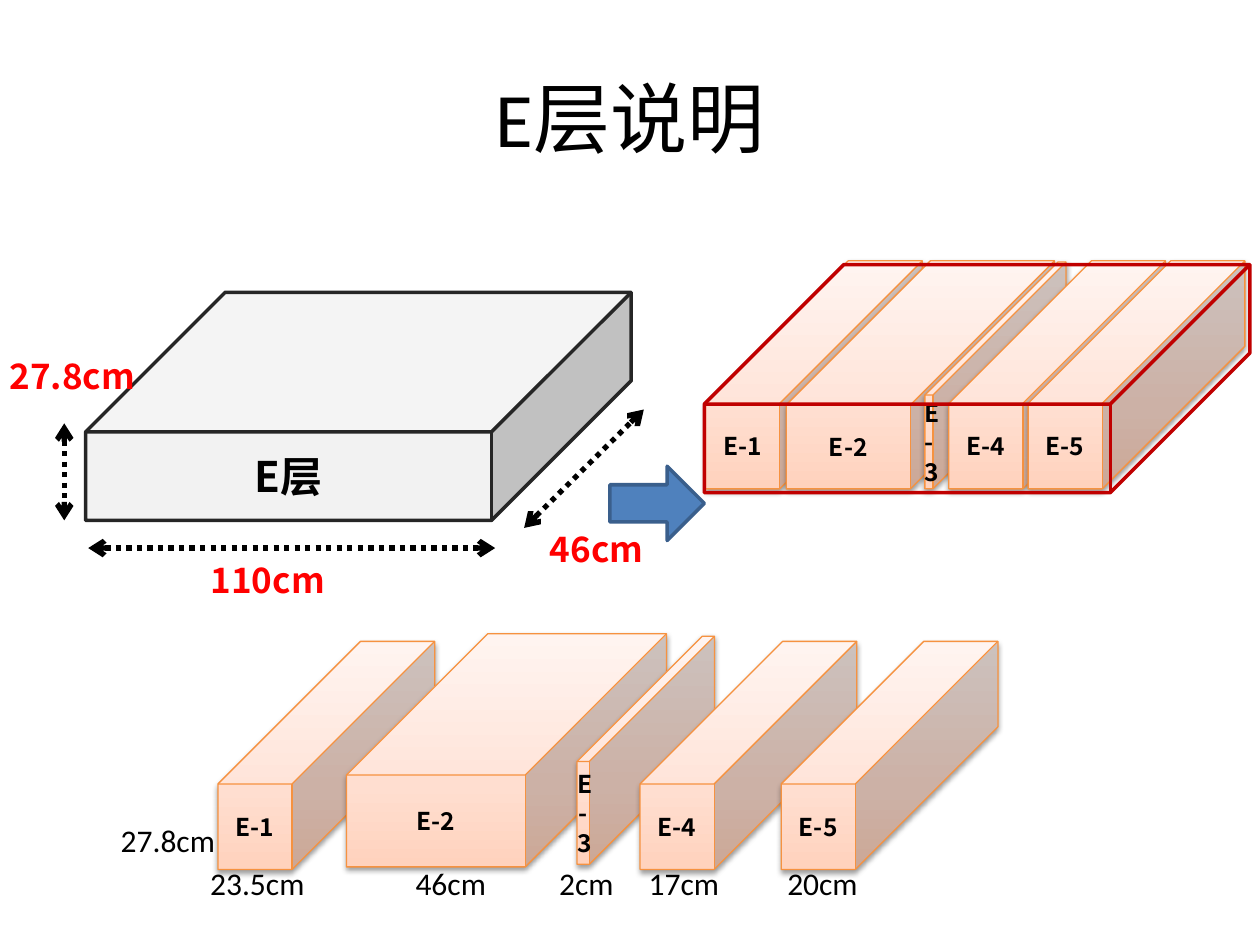
"""Build the slide that explains how layer E is divided into five blocks."""
from lxml import etree
from pptx import Presentation
from pptx.dml.color import RGBColor
from pptx.enum.dml import MSO_LINE
from pptx.enum.shapes import MSO_CONNECTOR, MSO_SHAPE
from pptx.enum.text import MSO_ANCHOR, MSO_AUTO_SIZE, PP_ALIGN
from pptx.oxml.ns import qn
from pptx.util import Inches, Pt

CUBE, ARROW = MSO_SHAPE.CUBE, MSO_SHAPE.RIGHT_ARROW
CENTER, LEFT = PP_ALIGN.CENTER, PP_ALIGN.LEFT
MIDDLE, TOP = MSO_ANCHOR.MIDDLE, MSO_ANCHOR.TOP
CJK, LATIN = "Noto Sans CJK SC", "Calibri"
BLACK, RED = "000000", "FF0000"

TITLE = "E层说明"
LAYER = "E层"
LAYER_SIZE, LAYER_DEPTH = (4.33, 1.81), 0.612
BLOCK = (1.72, 1.81, 0.658)
GRADIENT = [(0, "FFD2BD"), (35, "FFDED0"), (100, "FFF2ED")]

LAYER_ARROWS = [((0.7, 4.35), (3.93, 4.35)), ((4.16, 4.19), (5.11, 3.25))]
LAYER_SIZES = [("110cm", 1.47, 4.35), ("46cm", 4.08, 4.1)]
HEIGHT_ARROW = ((0.51, 3.36), (0.51, 4.13))
HEIGHT_SIZE = ("27.8cm", -0.08, 2.73)

SEPARATE_BLOCKS = [
    ("E-1", 1.73, 5.09, *BLOCK),
    ("E-2", 2.75, 5.03, 2.54, 1.85, 0.606),
    ("E-3", 4.58, 5.05, 1.09, 1.81, 0.911),
    ("E-4", 5.08, 5.09, *BLOCK),
    ("E-5", 6.2, 5.09, *BLOCK),
]
BLOCK_SIZES = [
    ("23.5cm", 1.57, 6.81, 0.96),
    ("27.8cm", 0.86, 6.47, 0.96),
    ("46cm", 3.2, 6.81, 0.77),
    ("2cm", 4.34, 6.81, 0.64),
    ("17cm", 5.05, 6.81, 0.77),
    ("20cm", 6.15, 6.81, 0.77),
]
JOINED_BLOCKS = [
    ("E-1", 5.6, 2.07, *BLOCK),
    ("E-2", 6.24, 2.07, 2.13, 1.81, 0.632),
    ("E-3", 7.34, 2.08, 1.12, 1.8, 0.943),
    ("E-4", 7.53, 2.07, *BLOCK),
    ("E-5", 8.16, 2.07, *BLOCK),
]


def rgb(value):
    """Turn a hex string into a colour."""
    return RGBColor.from_string(value)


def add_xml(parent, tag, **attributes):
    """Append a drawing element and return it."""
    return etree.SubElement(parent, qn("a:" + tag), attributes)


def write(s, text, size=20, color=BLACK, font=CJK, bold=True,
          align=CENTER, anchor=MIDDLE, wrap=True):
    """Put one formatted paragraph into a shape."""
    tf = s.text_frame
    tf.word_wrap, tf.vertical_anchor = wrap, anchor
    if not wrap:
        tf.auto_size = MSO_AUTO_SIZE.SHAPE_TO_FIT_TEXT
    p = tf.paragraphs[0]
    p.alignment = align
    r = p.add_run()
    r.text = text
    r.font.size, r.font.bold, r.font.name = Pt(size), bold, font
    r.font.color.rgb = rgb(color)
    add_xml(r.font._element, "ea", typeface=CJK)


def add_label(shapes, text, left, top, width=1.31, height=0.5, **style):
    """Add a text box."""
    box = [Inches(v) for v in (left, top, width, height)]
    write(shapes.add_textbox(*box), text, **style)


def add_solid(shapes, kind, left, top, width, height, line, weight=2, fill=None, depth=None):
    """Add a preset shape with a plain fill or none."""
    s = shapes.add_shape(kind, *[Inches(v) for v in (left, top, width, height)])
    s.shadow.inherit = False
    s.line.color.rgb, s.line.width = rgb(line), Pt(weight)
    if fill:
        s.fill.solid()
        s.fill.fore_color.rgb = rgb(fill)
    else:
        s.fill.background()
    if depth:
        s.adjustments[0] = depth
    return s


def add_block(shapes, text, left, top, width, height, depth):
    """Add a labelled cube with a vertical gradient and a soft shadow."""
    s = add_solid(shapes, CUBE, left, top, width, height, "F69240", 0.75, depth=depth)
    s.fill.gradient()
    s.fill.gradient_angle = 90
    properties = s._element.spPr
    stops = properties.find(".//" + qn("a:gsLst"))
    for stop in list(stops):
        stops.remove(stop)
    for position, color in GRADIENT:
        add_xml(add_xml(stops, "gs", pos=str(position * 1000)), "srgbClr", val=color)
    shadow = add_xml(properties.find(qn("a:effectLst")), "outerShdw", blurRad=str(Pt(3.1)),
                     dist=str(Pt(1.6)), dir="5400000", rotWithShape="0")
    add_xml(add_xml(shadow, "srgbClr", val=BLACK), "alpha", val="38000")
    write(s, text, size=14)


def add_measure(shapes, start, end):
    """Add a dotted line with an arrowhead at both ends."""
    s = shapes.add_connector(MSO_CONNECTOR.STRAIGHT, *[Inches(v) for v in start + end])
    s.line.color.rgb, s.line.width = rgb(BLACK), Pt(3)
    s.line.dash_style = MSO_LINE.ROUND_DOT
    outline = s._element.spPr.find(qn("a:ln"))
    for tip in ("headEnd", "tailEnd"):
        add_xml(outline, tip, type="arrow")
    add_xml(s._element.spPr, "effectLst")


def main():
    """Lay out the slide and save it."""
    prs = Presentation()
    prs.slide_width, prs.slide_height = Inches(10), Inches(7.5)
    shapes = prs.slides.add_slide(prs.slide_layouts[6]).shapes

    add_label(shapes, TITLE, 0.5, 0.3, 9, 1.25, size=44, font=LATIN, bold=False)
    add_solid(shapes, ARROW, 4.84, 3.7, 0.75, 0.59, "3A5F8C", fill="4F81BD")

    layer = shapes.add_group_shape().shapes
    body = add_solid(layer, CUBE, 0.68, 2.32, *LAYER_SIZE, "262626",
                     fill="F2F2F2", depth=LAYER_DEPTH)
    write(body, LAYER, size=24)
    for start, end in LAYER_ARROWS:
        add_measure(layer, start, end)
    for size in LAYER_SIZES:
        add_label(layer, *size, color=RED)
    add_measure(shapes, *HEIGHT_ARROW)
    add_label(shapes, *HEIGHT_SIZE, color=RED)

    separate = shapes.add_group_shape().shapes
    for block in SEPARATE_BLOCKS:
        add_block(separate, *block)
    for size in BLOCK_SIZES:
        add_label(separate, *size, 0.4, size=18, font=LATIN, bold=False,
                  align=LEFT, anchor=TOP, wrap=False)

    joined = shapes.add_group_shape().shapes
    for block in JOINED_BLOCKS:
        add_block(joined, *block)
    add_solid(joined, CUBE, 5.59, 2.1, *LAYER_SIZE, "C00000", depth=LAYER_DEPTH)

    prs.save("out.pptx")


if __name__ == "__main__":
    main()
